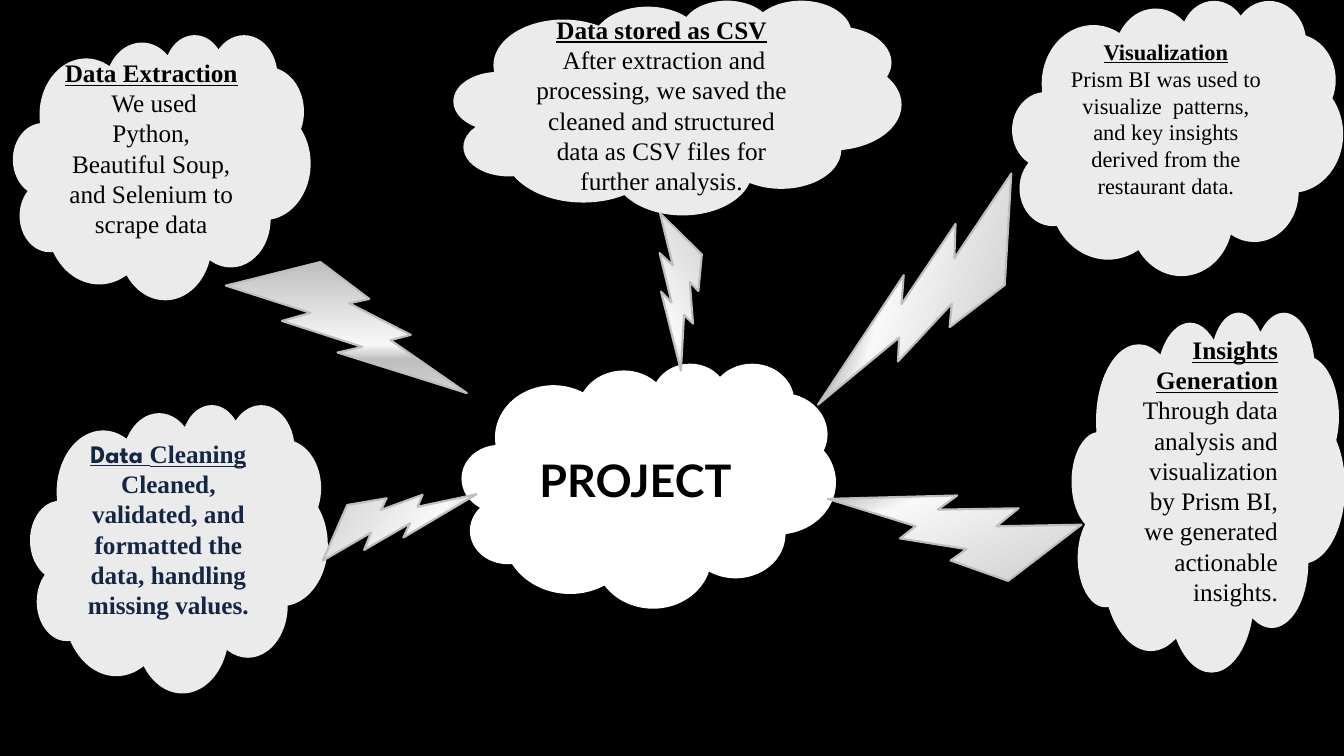
"""Build a mind-map slide of clouds joined to a central project by lightning bolts."""
from lxml import etree
from pptx import Presentation
from pptx.dml.color import RGBColor
from pptx.enum import shapes, text
from pptx.oxml.ns import qn
from pptx.util import Inches, Pt

COLORS = {
    "background": "000000",
    "project": "FFFFFF",
    "cloud": "EBEBEB",
    "text": "000000",
    "navy": "132745",
    "bolt_line": "BEBEBE",
}
SERIF = "Times New Roman"
CENTER, RIGHT = text.PP_ALIGN.CENTER, text.PP_ALIGN.RIGHT


def rgb(name):
    return RGBColor.from_string(COLORS[name])


def add_shape(s, kind, box):
    sp = s.shapes.add_shape(kind, *[Inches(v) for v in box])
    sp.shadow.inherit = False
    return sp


prs = Presentation()
prs.slide_width, prs.slide_height = Inches(13.33), Inches(7.5)
s = prs.slides.add_slide(prs.slide_layouts[6])
s.background.fill.solid()
s.background.fill.fore_color.rgb = rgb("background")

# box, fill, text colour, size, alignment, top and bottom inset, paragraphs of (text, font, bold, underline)
clouds = [
    ((4.58, 3.6, 3.71, 2.43), "project", "text", 32, CENTER, 0.05, 0.05,
     [[("PROJECT", "Lato", True, False)]]),
    ((0.13, 0.34, 2.95, 2.63), "cloud", "text", 18, CENTER, 0.05, 0.3,
     [[("Data Extraction", SERIF, True, True)],
      [(" We used Python, Beautiful Soup, and Selenium to scrape data", SERIF, False, False)]]),
    ((0.3, 4.01, 2.95, 2.86), "cloud", "navy", 18, CENTER, 0.05, 0.3,
     [[("Data ", "League Spartan", True, True), ("Cleaning", SERIF, True, True)],
      [("Cleaned, validated, and formatted the data, handling missing values.", SERIF, True, False)]]),
    ((4.5, 0, 4.44, 2.13), "cloud", "text", 18, CENTER, 0.35, 0.3,
     [[("Data stored as CSV", SERIF, True, True)],
      [(" After extraction and processing, we saved the cleaned and structured data "
        "as CSV files for further analysis.", SERIF, False, False)]]),
    ((10.04, 0, 3.28, 2.73), "cloud", "text", 16, CENTER, 0.05, 0.3,
     [[("Visualization", SERIF, True, True)],
      [("Prism BI was used to visualize  patterns, and key insights derived from "
        "the restaurant data.", SERIF, False, False)]]),
    ((10.63, 3.09, 2.71, 3.57), "cloud", "text", 18, RIGHT, 0.05, 0.3,
     [[("Insights Generation", SERIF, True, True),
       (" Through data analysis and visualization by Prism BI, we generated "
        "actionable insights.", SERIF, False, False)]]),
]

for box, fill, color, size, align, top, bottom, paragraphs in clouds:
    sp = add_shape(s, shapes.MSO_SHAPE.CLOUD, box)
    sp.fill.solid()
    sp.fill.fore_color.rgb = rgb(fill)
    sp.line.fill.background()
    tf = sp.text_frame
    tf.word_wrap = True
    tf.vertical_anchor = text.MSO_ANCHOR.MIDDLE
    tf.margin_top, tf.margin_bottom = Inches(top), Inches(bottom)
    for i, runs in enumerate(paragraphs):
        p = tf.add_paragraph() if i else tf.paragraphs[0]
        p.alignment = align
        for words, font, bold, underline in runs:
            r = p.add_run()
            r.text = words
            r.font.name, r.font.size = font, Pt(size)
            r.font.bold, r.font.underline = bold, underline
            r.font.color.rgb = rgb(color)

bolts = [
    ((2.24, 2.6, 2.39, 1.3), 0, "F5F5F5"),
    ((7.82, 2.19, 2.75, 1.43), 106.8, "686868"),
    ((8.39, 4.49, 2.25, 1.41), 158.6, "686868"),
    ((5.99, 2.47, 1.44, 0.78), 58.5, "686868"),
    ((3.16, 4.72, 1.48, 0.92), 309.6, "686868"),
]
shades = [(0, "BEBEBE"), (63, "F8F8F8"), (74, "BEBEBE"), (100, "D4D4D4")]

for box, angle, first in bolts:
    sp = add_shape(s, shapes.MSO_SHAPE.LIGHTNING_BOLT, box)
    sp.rotation = angle
    sp.line.color.rgb = rgb("bolt_line")
    sp.line.width = Pt(1.5)
    sp.fill.gradient()
    sp.fill.gradient_angle = 270
    stops = sp._element.spPr.find(qn("a:gradFill")).find(qn("a:gsLst"))
    for stop in list(stops):
        stops.remove(stop)
    for pos, shade in [(0, first)] + shades:
        stop = etree.SubElement(stops, qn("a:gs"), pos=str(pos * 1000))
        etree.SubElement(stop, qn("a:srgbClr"), val=shade)

prs.save("out.pptx")
